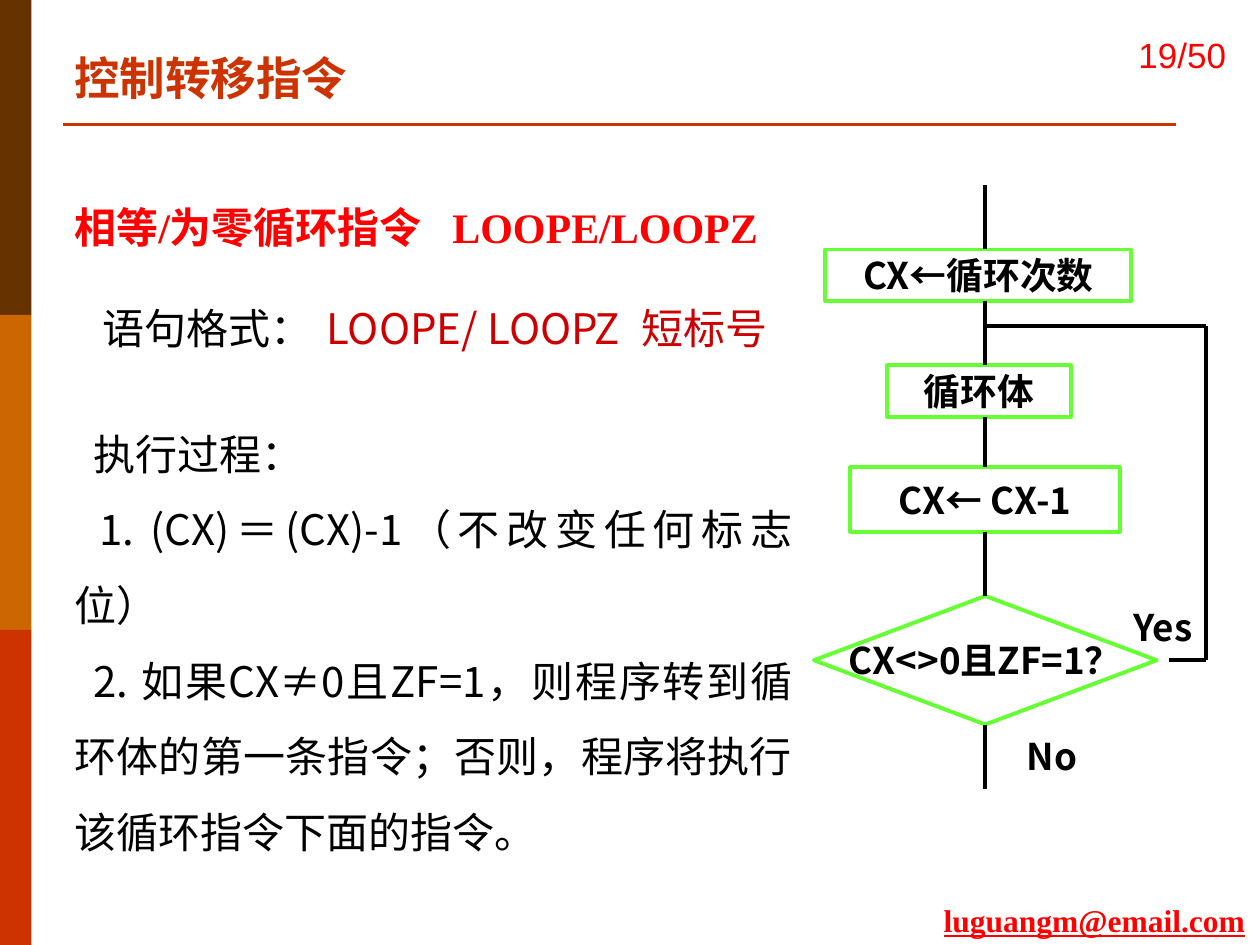
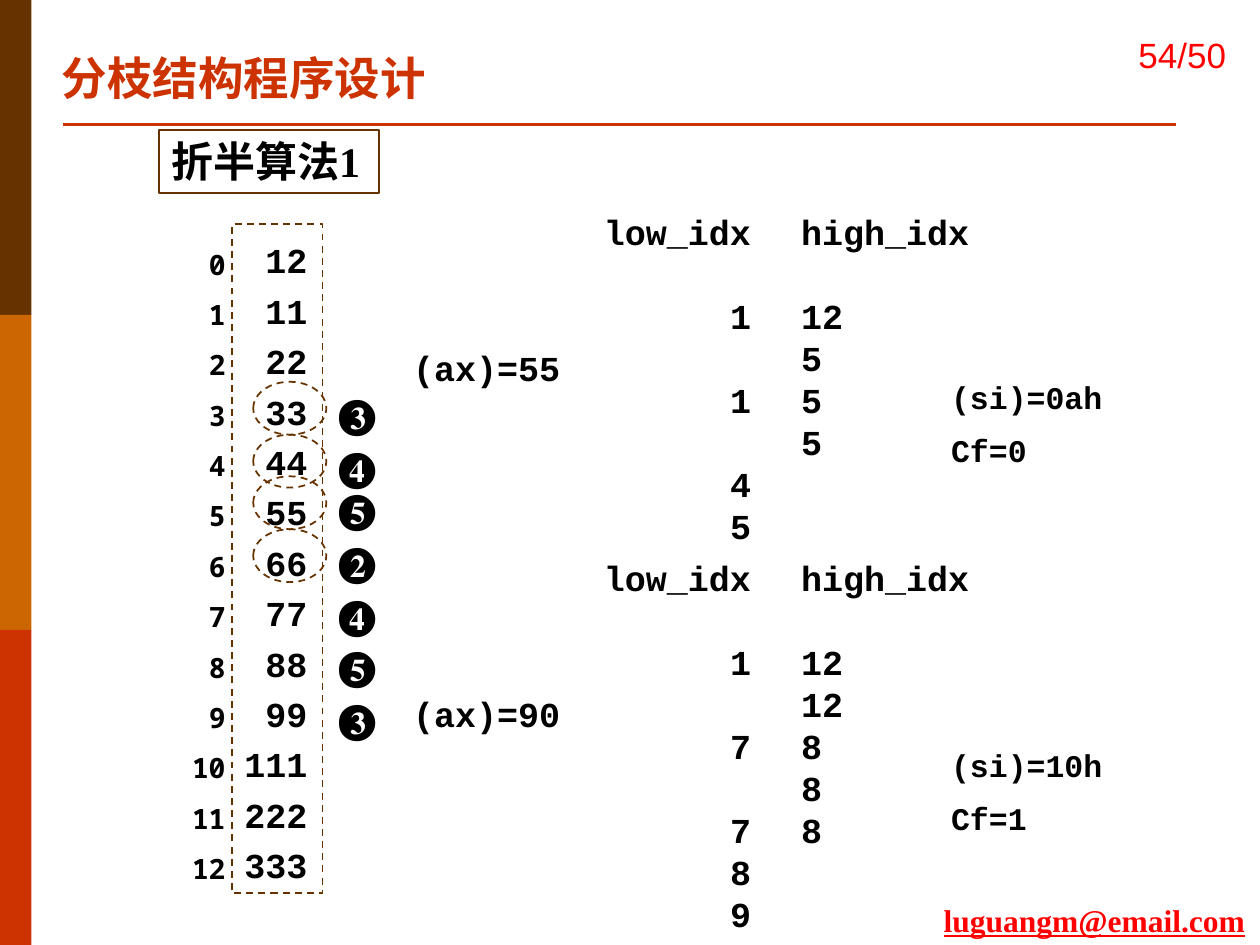
from dataclasses import dataclass
from typing import Optional

from lxml.etree import SubElement
from pptx import Presentation
from pptx.dml.color import RGBColor
from pptx.enum.dml import MSO_LINE
from pptx.enum.shapes import MSO_CONNECTOR, MSO_SHAPE
from pptx.enum.text import MSO_ANCHOR as Anchor, PP_ALIGN as Align
from pptx.oxml.ns import qn
from pptx.util import Inches, Pt

COLORS = {
    "brown": "663300", "orange": "CC6600", "rust": "CC3300", "red": "FF0000",
    "crimson": "CC0000", "green": "66FF33", "black": "000000",
}
SERIF, SANS, MONO = "Times New Roman", "Arial", "Courier New"
CJK, FLOW_FONT, INDEX_FONT = "Noto Sans CJK SC", "Noto Sans CJK JP", "Noto Sans Mono"

# The slide is a grid of 100 columns by 75 rows.
WIDTH, HEIGHT = Inches(10), Inches(7.5)
COLUMN, ROW = WIDTH / 100, HEIGHT / 75
TOP, BOTTOM = 0, 2


@dataclass(frozen=True)
class Frame:
    column: float
    row: float
    columns: float
    rows: float

    @property
    def emu(self) -> tuple:
        return (round(self.column * COLUMN), round(self.row * ROW),
                round(self.columns * COLUMN), round(self.rows * ROW))


@dataclass(frozen=True)
class Style:
    size: float
    font: str
    color: str = "black"
    bold: bool = True
    underline: bool = False


@dataclass(frozen=True)
class Line:
    """One paragraph: runs, spacing in points, indent and tabs in inches."""
    runs: tuple
    before: float = 0
    spacing: float = 1.0
    align: Align = Align.LEFT
    indent: float = 0
    tabs: tuple = ()


@dataclass(frozen=True)
class Padding:
    left: float = 0.1
    top: float = 0.05
    right: float = 0.1
    bottom: float = 0.05


@dataclass(frozen=True)
class Stroke:
    color: str
    width: float
    dashed: bool = False


@dataclass(frozen=True)
class Search:
    """One traced search with its index columns; each entry is (text, rows skipped before)."""
    top: float
    key_top: float
    result_top: float
    key: str
    low: tuple
    high: tuple
    result: tuple


TITLE = Style(26, SERIF, "rust")
EMAIL = Style(18, SERIF, "red", underline=True)
PAGE = Style(20, SANS, "red", bold=False)
HEADING = Style(24, SERIF, "red")
BODY = Style(24, CJK, bold=False)
SYNTAX = Style(24, CJK, "crimson", bold=False)
FLOW = Style(21, FLOW_FONT)
CODE = Style(20, MONO)
RESULT = Style(18, MONO)
INDEX = Style(16, INDEX_FONT)
MARK = Style(24, SERIF)

GREEN_LINE = Stroke("green", 2.25)
FLOW_LINE = Stroke("black", 2.25)
DASHED_LINE = Stroke("brown", 1, dashed=True)
NO_PADDING = Padding(0, 0, 0, 0)
RIGHT_COLUMN = Padding(left=0, right=0.12)


def rgb(name: str) -> RGBColor:
    return RGBColor.from_string(COLORS[name])


def add_run(paragraph, text: str, style: Style) -> None:
    run = paragraph.add_run()
    run.text = text
    font = run.font
    font.name, font.size = style.font, Pt(style.size)
    font.bold, font.underline = style.bold, style.underline
    font.color.rgb = rgb(style.color)
    if any("一" <= letter <= "龥" for letter in text):
        east_asian = SubElement(run._r.get_or_add_rPr(), qn("a:ea"))
        east_asian.set("typeface", style.font if "CJK" in style.font else CJK)


def write(shape, lines: list, padding: Padding = Padding(),
          anchor: Anchor = Anchor.TOP, wrap: bool = True) -> None:
    frame = shape.text_frame
    frame.word_wrap, frame.vertical_anchor = wrap, anchor
    frame.margin_left, frame.margin_right = Inches(padding.left), Inches(padding.right)
    frame.margin_top, frame.margin_bottom = Inches(padding.top), Inches(padding.bottom)
    for number, line in enumerate(lines):
        paragraph = frame.add_paragraph() if number else frame.paragraphs[0]
        paragraph.alignment, paragraph.line_spacing = line.align, line.spacing
        paragraph.space_before = Pt(line.before)
        properties = paragraph._p.get_or_add_pPr()
        properties.set("marL", "0")
        properties.set("indent", str(Inches(line.indent)))
        if line.tabs:
            tab_list = SubElement(properties, qn("a:tabLst"))
            for position in line.tabs:
                SubElement(tab_list, qn("a:tab"), pos=str(Inches(position)), algn="l")
        for text, style in line.runs:
            add_run(paragraph, text, style)


def add_text(slide, frame: Frame, lines: list, padding: Padding = Padding(),
             anchor: Anchor = Anchor.TOP, wrap: bool = True):
    box = slide.shapes.add_textbox(*frame.emu)
    write(box, lines, padding, anchor, wrap)
    return box


def add_shape(slide, kind: MSO_SHAPE, frame: Frame, fill: Optional[str] = None,
              stroke: Optional[Stroke] = None):
    shape = slide.shapes.add_shape(kind, *frame.emu)
    shape.shadow.inherit = False
    if fill:
        shape.fill.solid()
        shape.fill.fore_color.rgb = rgb(fill)
    else:
        shape.fill.background()
    if stroke:
        apply_stroke(shape.line, stroke)
    else:
        shape.line.fill.background()
    return shape


def apply_stroke(line, stroke: Stroke) -> None:
    line.color.rgb, line.width = rgb(stroke.color), Pt(stroke.width)
    if stroke.dashed:
        line.dash_style = MSO_LINE.DASH


def add_line(slide, start: tuple, end: tuple, stroke: Stroke, source=None, target=None) -> None:
    """Draw a line; it joins the bottom of source and the top of target when given."""
    ends = [round(value * unit) for point in (start, end)
            for value, unit in zip(point, (COLUMN, ROW))]
    connector = slide.shapes.add_connector(MSO_CONNECTOR.STRAIGHT, *ends)
    apply_stroke(connector.line, stroke)
    SubElement(connector._element.spPr, qn("a:effectLst"))
    if source is not None:
        source_shape = source
        connector.begin_connect(source_shape, BOTTOM)
    if target is not None:
        connector.end_connect(target, TOP)


def start_slide(presentation, title: str, title_column: float, page: str):
    """Add a slide with the side bands, rule, footer, page number and title."""
    slide = presentation.slides.add_slide(presentation.slide_layouts[5])
    for band, color in enumerate(("brown", "orange", "rust")):
        add_shape(slide, MSO_SHAPE.RECTANGLE, Frame(0, 25 * band, 2.5, 25), color)
    add_line(slide, (5, 9.9), (93.3, 9.9), Stroke("rust", 1.5))
    add_text(slide, Frame(73.9, 71, 26.1, 4), [Line((("luguangm@email.com", EMAIL),))],
             Padding(right=0))
    add_text(slide, Frame(87.8, 0.1, 10.5, 8.4), [Line(((page, PAGE),), align=Align.RIGHT)],
             anchor=Anchor.MIDDLE)
    heading = slide.shapes.title
    heading.left, heading.top, heading.width, heading.height = Frame(
        title_column, 3.5, 69.9, 5.4).emu
    write(heading, [Line(((title, TITLE),))])
    return slide


def flow_text(shape, text: str) -> None:
    write(shape, [Line(((text, FLOW),), align=Align.CENTER)], NO_PADDING, Anchor.MIDDLE, False)


def add_flowchart(slide) -> None:
    spine, loop, loop_top, test_row = 78.2, 95.7, 25.9, 52.4
    steps = (
        (MSO_SHAPE.RECTANGLE, Frame(65.5, 19.8, 24.3, 4.1), "CX←循环次数"),
        (MSO_SHAPE.RECTANGLE, Frame(70.4, 29, 14.6, 4.1), "循环体"),
        (MSO_SHAPE.RECTANGLE, Frame(67.5, 37.1, 21.4, 5.1), "CX← CX-1"),
        (MSO_SHAPE.DIAMOND, Frame(64.6, 47.3, 27.2, 10.2), "CX<>0且ZF=1？"),
    )
    shapes = []
    for kind, frame, text in steps:
        shape = add_shape(slide, kind, frame, stroke=GREEN_LINE)
        flow_text(shape, text)
        shapes.append(shape)
    _, _, decrement, test = shapes

    links = (
        (14.7, 19.8, None, None), (23.9, 29, None, None), (33.1, 37.1, None, decrement),
        (42.2, 47.3, decrement, test), (57.5, 62.6, test, None),
    )
    for top, bottom, source, target in links:
        add_line(slide, (spine, top), (spine, bottom), FLOW_LINE, source, target)
    corners = ((92.8, test_row), (loop, test_row), (loop, loop_top), (spine, loop_top))
    for start, end in zip(corners, corners[1:]):
        add_line(slide, start, end, FLOW_LINE)
    for text, frame in (("No", Frame(80.1, 57.5, 6.8, 4.9)), ("Yes", Frame(87.9, 47.3, 8.8, 4.9))):
        flow_text(slide.shapes.add_textbox(*frame.emu), text)


def build_loop_slide(presentation) -> None:
    slide = start_slide(presentation, "控制转移指令", 4.9, "19/50")
    skipped_line = 28.8
    justify = Align.JUSTIFY
    add_text(slide, Frame(4.7, 14.6, 59.4, 47.9), [
        Line((("相等/为零循环指令\tLOOPE/LOOPZ", HEADING),), spacing=1.2, tabs=(3.15,)),
        Line((("语句格式：\t", BODY), ("LOOPE/ LOOPZ\t短标号", SYNTAX)),
             before=skipped_line, indent=0.22, tabs=(2.05, 4.6)),
        Line((("执行过程：", BODY),), skipped_line, 1.5, justify, 0.15),
        Line((("1. (CX)＝(CX)-1（不改变任何标志位）", BODY),), 0, 1.5, justify, 0.2),
        Line((("2. 如果CX≠0且ZF=1，则程序转到循环体的第一条指令；否则，"
               "程序将执行该循环指令下面的指令。", BODY),), 0, 1.5, justify, 0.15),
    ], Padding(0.12, 0.06, 0.12, 0.06))
    add_flowchart(slide)


def index_lines(entries: tuple, align: Align) -> list:
    return [Line(((text, CODE),), before=24 * skipped, align=align) for text, skipped in entries]


def add_search(slide, search: Search) -> None:
    add_text(slide, Frame(31.8, search.key_top, 16.7, 4.3), [Line(((search.key, CODE),))])
    add_text(slide, Frame(46.8, search.top, 13.8, 21), index_lines(search.low, Align.RIGHT),
             Padding(left=0))
    add_text(slide, Frame(62.6, search.top, 17, 21), index_lines(search.high, Align.LEFT))
    add_text(slide, Frame(74.5, search.result_top, 15, 8.5),
             [Line(((text, RESULT),), before=9 if number else 0)
              for number, text in enumerate(search.result)])


def build_search_slide(presentation) -> None:
    slide = start_slide(presentation, "分枝结构程序设计", 3.9, "54/50")
    label = add_shape(slide, MSO_SHAPE.RECTANGLE, Frame(12.6, 10.3, 17.5, 5),
                      stroke=Stroke("brown", 1))
    write(label, [Line((("折半算法1", MARK),))], Padding(right=0))

    values = (12, 11, 22, 33, 44, 55, 66, 77, 88, 99, 111, 222, 333)
    array = add_shape(slide, MSO_SHAPE.RECTANGLE, Frame(18.4, 17.8, 7.2, 53.1), stroke=DASHED_LINE)
    write(array, [Line(((str(value), CODE),), spacing=1.2, align=Align.RIGHT)
                  for value in values], RIGHT_COLUMN)
    add_text(slide, Frame(14.3, 17.8, 4.8, 53.1),
             [Line(((str(index), INDEX),), spacing=1.5, align=Align.RIGHT)
              for index in range(len(values))], RIGHT_COLUMN)

    marks = (("❸", 30.3, True), ("❹", 34.5, True), ("❺", 37.8, True), ("❷", 42, True),
             ("❹", 46.2, False), ("❺", 50.3, False), ("❸", 54.5, False))
    for mark, top, circled in marks:
        add_text(slide, Frame(25.9, top, 6, 5), [Line(((mark, MARK),))])
        if circled:
            add_shape(slide, MSO_SHAPE.OVAL, Frame(20.1, top, 5.8, 4.2), stroke=DASHED_LINE)

    searches = (
        Search(16.2, 27, 29.5, "(ax)=55",
               (("low_idx", 0), ("1", 1), ("1", 1), ("4", 1), ("5", 0)),
               (("high_idx", 0), ("12", 1), ("5", 0), ("5", 0), ("5", 0)),
               ("(si)=0ah", "Cf=0")),
        Search(43.7, 54.5, 58.7, "(ax)=90",
               (("low_idx", 0), ("1", 1), ("7", 1), ("7", 1), ("8", 0), ("9", 0)),
               (("high_idx", 0), ("12", 1), ("12", 0), ("8", 0), ("8", 0), ("8", 0)),
               ("(si)=10h", "Cf=1")),
    )
    for search in searches:
        add_search(slide, search)


def main() -> None:
    presentation = Presentation()
    presentation.slide_width, presentation.slide_height = WIDTH, HEIGHT
    build_loop_slide(presentation)
    build_search_slide(presentation)
    presentation.save("out.pptx")


if __name__ == "__main__":
    main()
